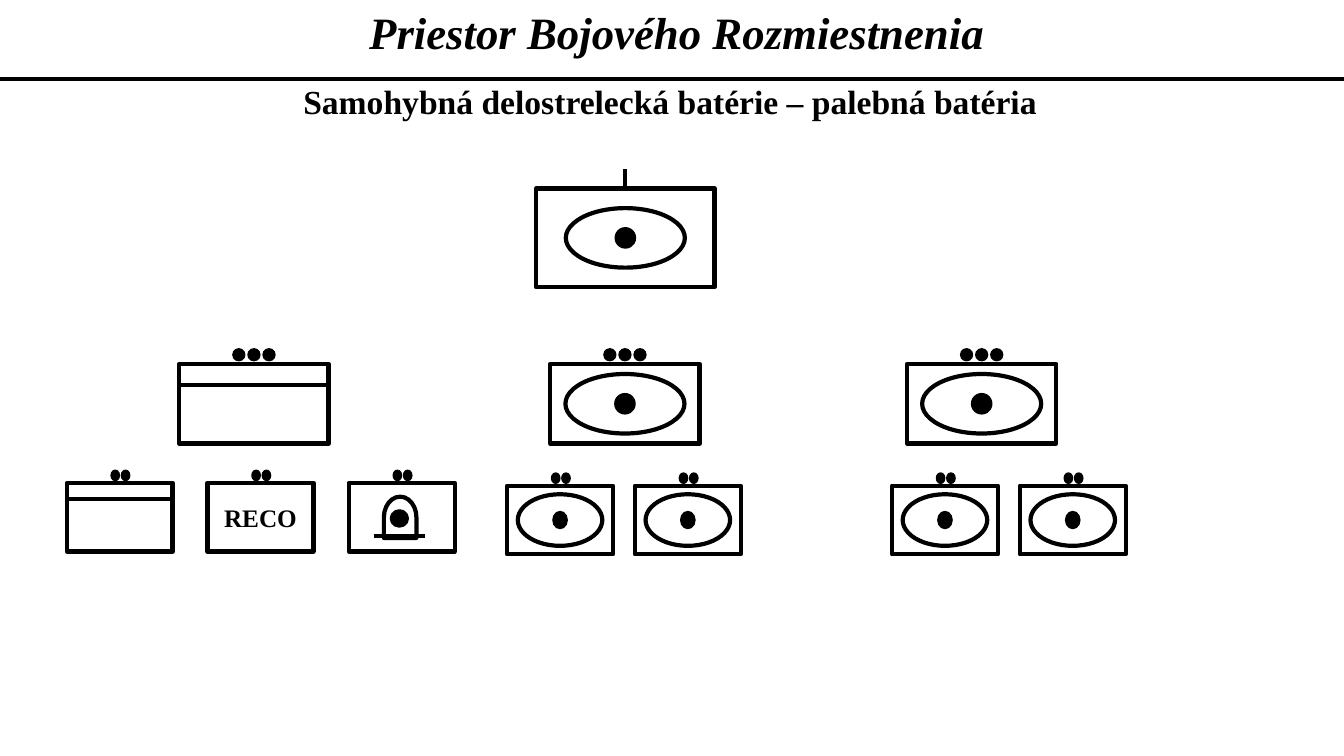
from lxml.etree import SubElement
from pptx import Presentation
from pptx.dml.color import RGBColor
from pptx.enum.shapes import MSO_CONNECTOR, MSO_SHAPE
from pptx.enum.text import MSO_ANCHOR, MSO_AUTO_SIZE, PP_ALIGN
from pptx.oxml.ns import qn
from pptx.util import Cm, Pt

BLACK = "000000"
SLIDE_WIDTH, SLIDE_HEIGHT = 33.87, 19.05
BATTERY_BOX = (13.51, 4.75, 4.5, 2.49)
PLATOON_TOP, PLATOON_SIZE = 9.17, (3.76, 2.01)
PLATOONS = [(4.52, "headquarters"), (13.87, "gun"), (22.86, "gun")]
SQUAD_SIZE = (2.67, 1.73)
SUPPORT_TOP, GUN_TOP = 12.17, 12.24
SQUADS = [
    (1.68, SUPPORT_TOP, "headquarters"),
    (5.23, SUPPORT_TOP, "reconnaissance"),
    (8.79, SUPPORT_TOP, "supply"),
    *[(left, GUN_TOP, "gun") for left in (12.78, 16, 22.48, 25.7)],
]
TITLE_FONT = {"name": "Times New Roman", "size": Pt(32), "bold": True, "italic": True}
SUBTITLE_FONT = {"name": "Times New Roman", "size": Pt(24), "bold": True}
LABEL_FONT = {"name": "Times New Roman", "size": Pt(18), "bold": True}


def color(value):
    """Turn a hex string into a colour."""
    return RGBColor.from_string(value)


def write(shape, text, font, anchor, inset=None):
    """Put one centred, formatted line of text in a shape."""
    frame = shape.text_frame
    frame.word_wrap = True
    frame.vertical_anchor = anchor
    if inset is not None:
        for side in ("left", "top", "right", "bottom"):
            setattr(frame, f"margin_{side}", Cm(inset))
    paragraph = frame.paragraphs[0]
    paragraph.text = text
    paragraph.alignment = PP_ALIGN.CENTER
    for name, value in font.items():
        setattr(paragraph.font, name, value)
    paragraph.font.color.rgb = color(BLACK)
    return paragraph


def add_line(shapes, start, end):
    """Draw a straight black line between two points."""
    line = shapes.add_connector(MSO_CONNECTOR.STRAIGHT, *map(Cm, start + end))
    line.line.width = Pt(3)
    line.line.color.rgb = color(BLACK)
    SubElement(line.element.spPr, qn("a:effectLst"))


def add_outline(shapes, kind, box, weight=3, fill=None):
    """Draw a black-lined shape in a box, hollow unless a fill is given."""
    shape = shapes.add_shape(kind, *map(Cm, box))
    shape.shadow.inherit = False
    shape.line.width = Pt(weight)
    shape.line.color.rgb = color(BLACK)
    if fill:
        shape.fill.solid()
        shape.fill.fore_color.rgb = color(fill)
    else:
        shape.fill.background()
    return shape


def add_oval(shapes, center, size, weight=1, fill=BLACK):
    """Draw an ellipse around a centre point."""
    (x, y), (width, height) = center, size
    box = (x - width / 2, y - height / 2, width, height)
    add_outline(shapes, MSO_SHAPE.OVAL, box, weight, fill)


def add_size_dots(shapes, center, count, size, pitch):
    """Draw the row of dots that shows the size of a unit."""
    x, y = center
    for index in range(count):
        add_oval(shapes, (x + (index - (count - 1) / 2) * pitch, y), size)


def add_gun_symbol(shapes, box, oval_size, dot_size):
    """Draw the self-propelled artillery symbol in the middle of a box."""
    left, top, width, height = box
    center = (left + width / 2, top + height / 2)
    add_oval(shapes, center, oval_size, 3, None)
    add_oval(shapes, center, dot_size)


def add_supply_symbol(shapes, box):
    """Draw the arch, dot and base line in the middle of a box."""
    left, top, width, height = box
    x, y = left + width / 2 - 0.06, top + height / 2
    add_oval(shapes, (x, y + 0.03), (0.38, 0.36), 3)
    add_line(shapes, (x - 0.65, y + 0.48), (x + 0.65, y + 0.48))
    arch_box = (x - 0.5, y - 0.41, 1.04, 0.82)
    arch = add_outline(shapes, MSO_SHAPE.FLOWCHART_DELAY, arch_box)
    arch.rotation = 270


def add_band(shapes, box, depth):
    """Draw the headquarters line below the top of a box."""
    left, top, width, _ = box
    add_line(shapes, (left, top + depth), (left + width, top + depth))


def add_battery(slide, box):
    """Draw the battery with its upright size mark."""
    left, top, width, _ = box
    shapes = slide.shapes.add_group_shape().shapes
    add_outline(shapes, MSO_SHAPE.RECTANGLE, box)
    add_gun_symbol(shapes, box, (3, 1.5), (0.51, 0.51))
    middle = left + width / 2
    add_line(shapes, (middle, top), (middle, top - 0.49))


def add_platoon(slide, box, role):
    """Draw a platoon with three size dots."""
    left, top, width, _ = box
    shapes = slide.shapes.add_group_shape().shapes
    add_outline(shapes, MSO_SHAPE.RECTANGLE, box)
    add_size_dots(shapes, (left + width / 2, top - 0.23), 3, (0.3, 0.3), 0.38)
    if role == "gun":
        add_gun_symbol(shapes, box, (3, 1.5), (0.51, 0.51))
    else:
        add_band(shapes, box, 0.53)


def add_squad(slide, box, role):
    """Draw a squad with two size dots and the symbol of its role."""
    left, top, width, _ = box
    shapes = slide.shapes.add_group_shape().shapes
    frame = add_outline(shapes, MSO_SHAPE.RECTANGLE, box)
    add_size_dots(shapes, (left + width / 2 + 0.02, top - 0.19), 2, (0.21, 0.26), 0.26)
    if role == "gun":
        add_gun_symbol(shapes, box, (2.13, 1.3), (0.36, 0.43))
    elif role == "headquarters":
        add_band(shapes, box, 0.41)
    elif role == "supply":
        add_supply_symbol(shapes, box)
    else:
        write(frame, "RECO", LABEL_FONT, MSO_ANCHOR.MIDDLE, 0)


def add_heading(slide, box):
    """Place the title, the rule under it and the subtitle."""
    left, top, width, height = box
    title = slide.shapes.title
    title.left, title.top, title.width, title.height = map(Cm, box)
    paragraph = write(title, "Priestor Bojového Rozmiestnenia", TITLE_FONT, MSO_ANCHOR.TOP)
    properties = paragraph._p.get_or_add_pPr()
    properties.set("marL", str(Cm(0.25)))
    properties.set("indent", "0")
    title.text_frame.auto_size = MSO_AUTO_SIZE.SHAPE_TO_FIT_TEXT
    rule = top + height + 0.37
    add_line(slide.shapes, (left, rule), (left + width, rule))
    subtitle_box = (left + 0.66, rule + 0.04, width - 1.41, 1.02)
    subtitle = slide.shapes.add_textbox(*map(Cm, subtitle_box))
    text = "Samohybná delostrelecká batérie – palebná batéria"
    write(subtitle, text, SUBTITLE_FONT, MSO_ANCHOR.TOP, 0)
    subtitle.text_frame.auto_size = MSO_AUTO_SIZE.SHAPE_TO_FIT_TEXT


def main():
    """Build the battery structure slide."""
    presentation = Presentation()
    presentation.slide_width = Cm(SLIDE_WIDTH)
    presentation.slide_height = Cm(SLIDE_HEIGHT)
    slide = presentation.slides.add_slide(presentation.slide_layouts[5])
    add_heading(slide, (0, 0, SLIDE_WIDTH, 1.63))
    add_battery(slide, BATTERY_BOX)
    for left, role in PLATOONS:
        add_platoon(slide, (left, PLATOON_TOP, *PLATOON_SIZE), role)
    for left, top, role in SQUADS:
        add_squad(slide, (left, top, *SQUAD_SIZE), role)
    presentation.save("out.pptx")


if __name__ == "__main__":
    main()
